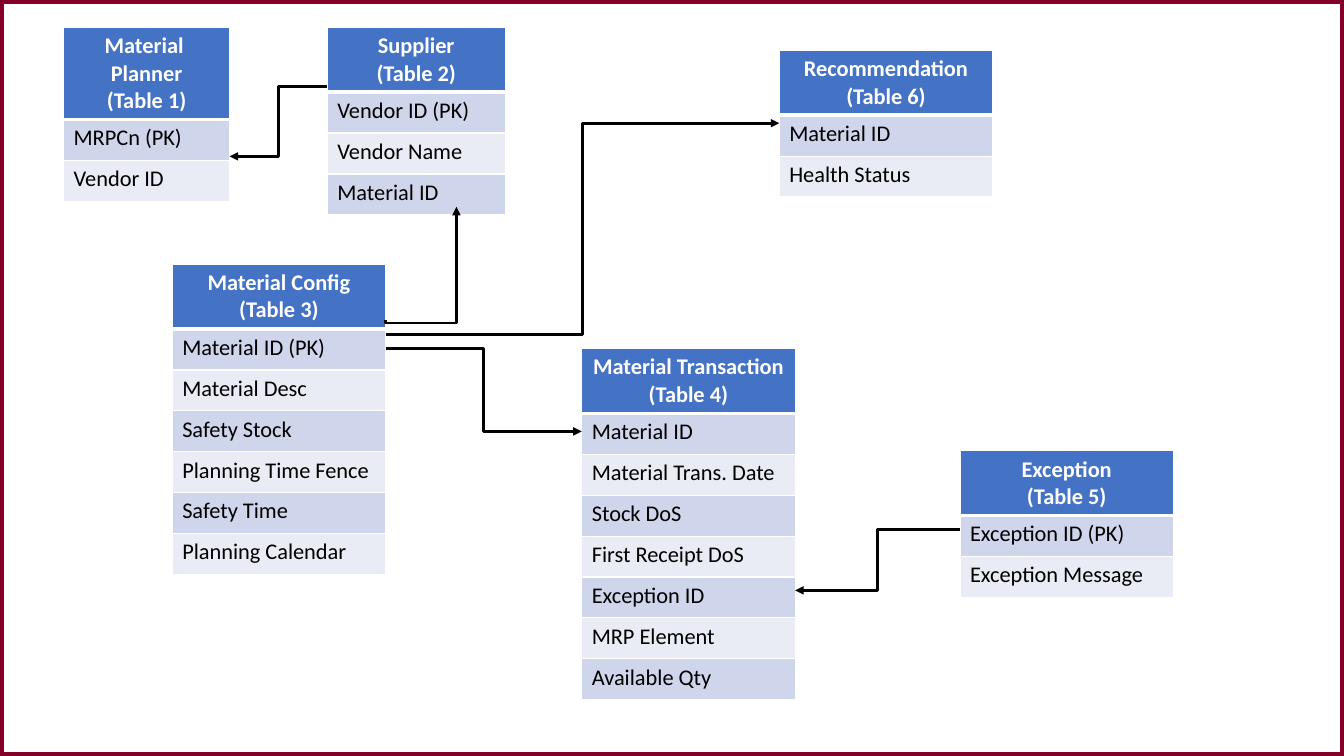
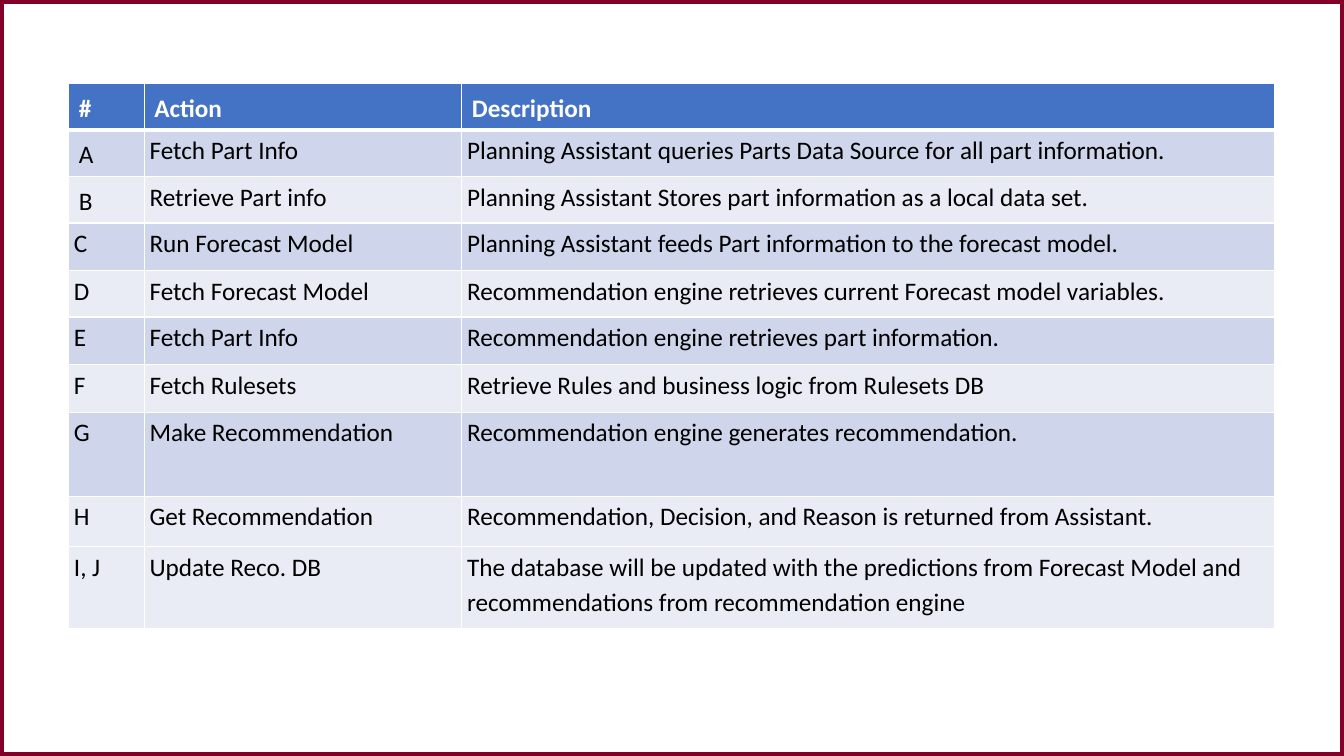
from dataclasses import dataclass

from lxml.etree import SubElement
from pptx import Presentation
from pptx.dml.color import RGBColor
from pptx.enum.shapes import MSO_CONNECTOR, MSO_SHAPE
from pptx.enum.text import PP_ALIGN
from pptx.oxml.ns import qn
from pptx.util import Pt

COLORS = {
    "frame": "830028",
    "header": "4472C4",
    "band_dark": "CFD5EA",
    "band_light": "E9EBF5",
    "white": "FFFFFF",
    "black": "000000",
}
FONT = "Calibri"
SLIDE_WIDTH, SLIDE_HEIGHT = 960, 540

# Cell margins: left, top, right, bottom
WIDE_MARGINS = (7.2, 3.6, 7.2, 3.6)
TIGHT_MARGINS = (3.75, 0.72, 3.75, 7.2)

FIELD_HEIGHT = 29.2
HEADER_PADDING, HEADER_LINE = 7.2, 19.4


@dataclass
class Entity:
    title: str
    fields: list
    left: float
    top: float
    width: float = 152.5

    @property
    def right(self):
        return self.left + self.width


ENTITIES = {
    "planner": Entity("Material \nPlanner\n(Table 1)", ["MRPCn (PK)", "Vendor ID"],
                      45.4, 19.5, 118.7),
    "supplier": Entity("Supplier\n(Table 2)",
                       ["Vendor ID (PK)", "Vendor Name", "Material ID"], 233.8, 19.5, 127),
    "config": Entity("Material Config\n(Table 3)",
                     ["Material ID (PK)", "Material Desc", "Safety Stock",
                      "Planning Time Fence", "Safety Time", "Planning Calendar"], 123, 188.7),
    "transaction": Entity("Material Transaction\n(Table 4)",
                          ["Material ID", "Material Trans. Date", "Stock DoS",
                           "First Receipt DoS", "Exception ID", "MRP Element",
                           "Available Qty"], 415.5, 249),
    "exception": Entity("Exception\n(Table 5)", ["Exception ID (PK)", "Exception Message"],
                        685.7, 321.9),
    "recommendation": Entity("Recommendation\n(Table 6)", ["Material ID", "Health Status"],
                             556.6, 36),
}

# Source, height at source, target, height at target
LINKS = [
    ("supplier", 61.7, "planner", 111.7),
    ("exception", 378, "transaction", 421.7),
    ("config", 239, "recommendation", 88),
    ("config", 249, "transaction", 308.2),
]

ACTIONS = [
    ("#", "Action", "Description"),
    ("A", "Fetch Part Info",
     "Planning Assistant queries Parts Data Source for all part information."),
    ("B", "Retrieve Part info",
     "Planning Assistant Stores part information as a local data set."),
    ("C", "Run Forecast Model",
     "Planning Assistant feeds Part information to the forecast model."),
    ("D", "Fetch Forecast Model",
     "Recommendation engine retrieves current Forecast model variables."),
    ("E", "Fetch Part Info", "Recommendation engine retrieves part information."),
    ("F", "Fetch Rulesets", "Retrieve Rules and business logic from Rulesets DB"),
    ("G", "Make Recommendation", "Recommendation engine generates recommendation."),
    ("H", "Get Recommendation",
     "Recommendation, Decision, and Reason is returned from Assistant."),
    ("I, J", "Update Reco. DB",
     "The database will be updated with the predictions from Forecast Model and "
     "recommendations from recommendation engine"),
]
ACTION_WIDTHS = [54, 226.8, 580.8]
ACTION_HEIGHTS = [33, 33.5, 33, 34, 33, 34, 34, 60, 36, 58]
ACTION_BANDS = ["header"] + ["band_dark", "band_light"] * 4 + ["band_light"]


def color(name):
    return RGBColor.from_string(COLORS[name])


def add_text(text_frame, text, size=16, ink="black", bold=False,
             align=PP_ALIGN.LEFT, spacing=None):
    """Write one paragraph for each line of the text."""
    for index, line in enumerate(text.split("\n")):
        paragraph = text_frame.add_paragraph() if index else text_frame.paragraphs[0]
        paragraph.alignment = align
        paragraph.line_spacing = spacing
        run = paragraph.add_run()
        run.text = line
        run.font.name, run.font.size, run.font.bold = FONT, Pt(size), bold
        run.font.color.rgb = color(ink)


def add_grid(slide, left, top, widths, heights):
    """Add an empty table with the given column widths and row heights."""
    frame = slide.shapes.add_table(len(heights), len(widths), Pt(left), Pt(top),
                                   Pt(sum(widths)), Pt(sum(heights)))
    table = frame.table
    table.horz_banding = False
    for column, width in zip(table.columns, widths):
        column.width = Pt(width)
    for row, height in zip(table.rows, heights):
        row.height = Pt(height)
    return table


def fill_cell(table, row, column, text, fill, margins=WIDE_MARGINS, **text_format):
    cell = table.cell(row, column)
    cell.margin_left, cell.margin_top, cell.margin_right, cell.margin_bottom = map(Pt, margins)
    # White borders, thick between header and body
    properties = cell._tc.get_or_add_tcPr()
    thick_side = {0: "lnB", 1: "lnT"}.get(row)
    for side in ("lnL", "lnR", "lnT", "lnB"):
        border = SubElement(properties, qn(f"a:{side}"), w=str(Pt(3 if side == thick_side else 1)))
        solid = SubElement(border, qn("a:solidFill"))
        SubElement(solid, qn("a:srgbClr"), val=COLORS["white"])
    cell.fill.solid()
    cell.fill.fore_color.rgb = color(fill)
    if row == 0:
        text_format.update(ink="white", bold=True)
    add_text(cell.text_frame, text, **text_format)


def add_entity(slide, entity):
    header_height = HEADER_PADDING + HEADER_LINE * len(entity.title.split("\n"))
    heights = [header_height] + [FIELD_HEIGHT] * len(entity.fields)
    table = add_grid(slide, entity.left, entity.top, [entity.width], heights)
    fill_cell(table, 0, 0, entity.title, "header", align=PP_ALIGN.CENTER)
    for row, field in enumerate(entity.fields, 1):
        fill_cell(table, row, 0, field, "band_dark" if row % 2 else "band_light")


def add_elbow(slide, begin, end, arrow="tailEnd"):
    connector = slide.shapes.add_connector(MSO_CONNECTOR.ELBOW, *map(Pt, begin + end))
    connector.line.color.rgb = color("black")
    connector.line.width = Pt(2)
    SubElement(connector.line._get_or_add_ln(), qn(f"a:{arrow}"), type="triangle")
    SubElement(connector.element.spPr, qn("a:effectLst"))
    return connector


def add_side_link(slide, source, source_y, target, target_y):
    """Join the facing sides of two entities."""
    if source.left < target.left:
        begin_x, end_x = source.right, target.left
    else:
        begin_x, end_x = source.left, target.right
    add_elbow(slide, (begin_x, source_y), (end_x, target_y))


def add_upward_link(slide, start, tip, overshoot):
    """Lead from the start below its level, across and up to the tip."""
    (start_x, start_y), (tip_x, tip_y) = start, tip
    center_x, center_y = (start_x + tip_x) / 2, (start_y + tip_y) / 2
    half_length, half_width = (start_y - tip_y) / 2, (tip_x - start_x) / 2
    connector = add_elbow(slide, (center_x - half_length, center_y - half_width),
                          (center_x + half_length, center_y + half_width), "headEnd")
    properties = connector.element.spPr
    properties.find(qn("a:xfrm")).set("rot", str(90 * 60000))
    adjustments = properties.find(qn("a:prstGeom")).find(qn("a:avLst"))
    SubElement(adjustments, qn("a:gd"), name="adj1", fmla=f"val {round(overshoot * 100000)}")


def add_framed_slide(presentation):
    """Add a slide with the border that all slides share."""
    slide = presentation.slides.add_slide(presentation.slide_layouts[6])
    frame = slide.shapes.add_shape(MSO_SHAPE.RECTANGLE, 0, 0, Pt(SLIDE_WIDTH), Pt(SLIDE_HEIGHT))
    frame.shadow.inherit = False
    frame.fill.background()
    frame.line.color.rgb = color("frame")
    frame.line.width = Pt(6)
    return slide


def build_data_model(slide):
    for entity in ENTITIES.values():
        add_entity(slide, entity)
    for source, source_y, target, target_y in LINKS:
        add_side_link(slide, ENTITIES[source], source_y, ENTITIES[target], target_y)
    add_upward_link(slide, (ENTITIES["config"].right - 0.2, 228.3), (326, 147.7), 1.03)


def build_action_table(slide, left, top):
    table = add_grid(slide, left, top, ACTION_WIDTHS, ACTION_HEIGHTS)
    for row, (texts, band) in enumerate(zip(ACTIONS, ACTION_BANDS)):
        for column, text in enumerate(texts):
            wide = row == 0 or (column == 0 and row <= 2)
            fill_cell(table, row, column, text, band,
                      WIDE_MARGINS if wide else TIGHT_MARGINS, size=18, spacing=1.15)


def main():
    presentation = Presentation()
    presentation.slide_width, presentation.slide_height = Pt(SLIDE_WIDTH), Pt(SLIDE_HEIGHT)
    build_data_model(add_framed_slide(presentation))
    build_action_table(add_framed_slide(presentation), 49.1, 59.6)
    presentation.save("out.pptx")


if __name__ == "__main__":
    main()
